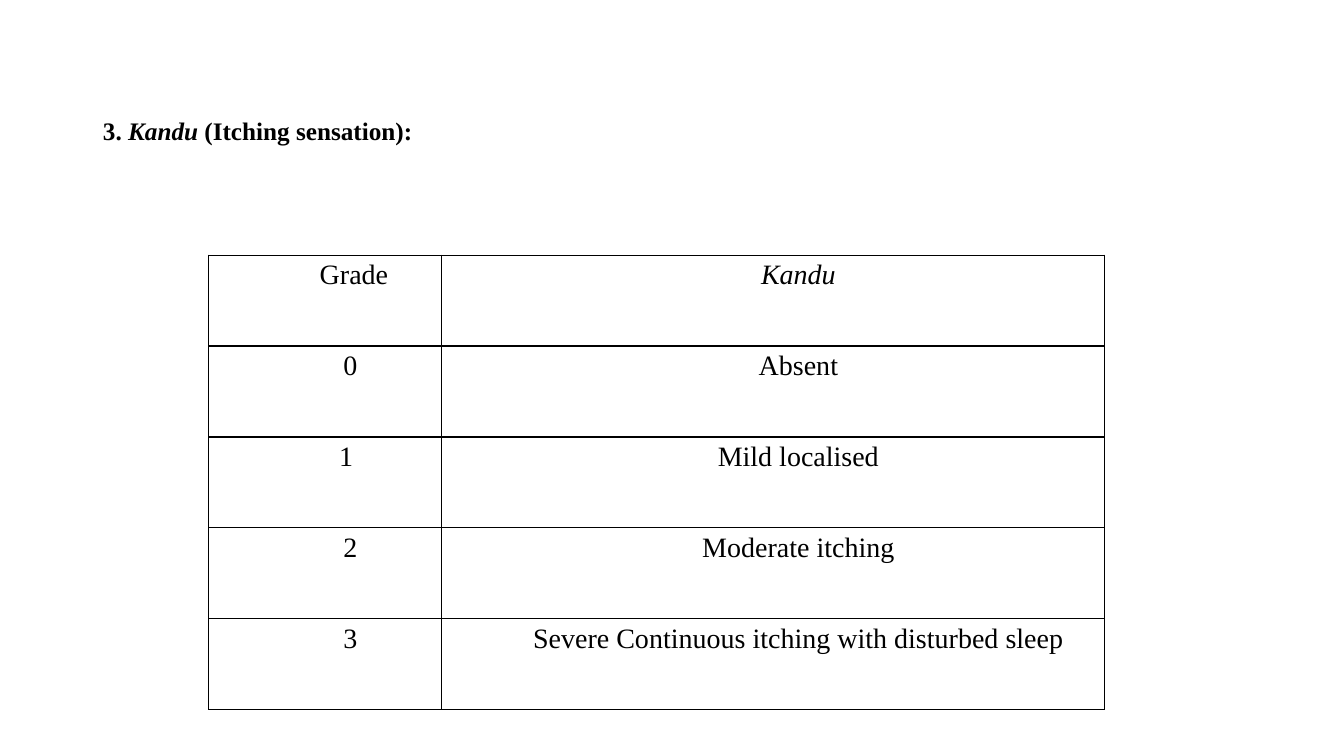
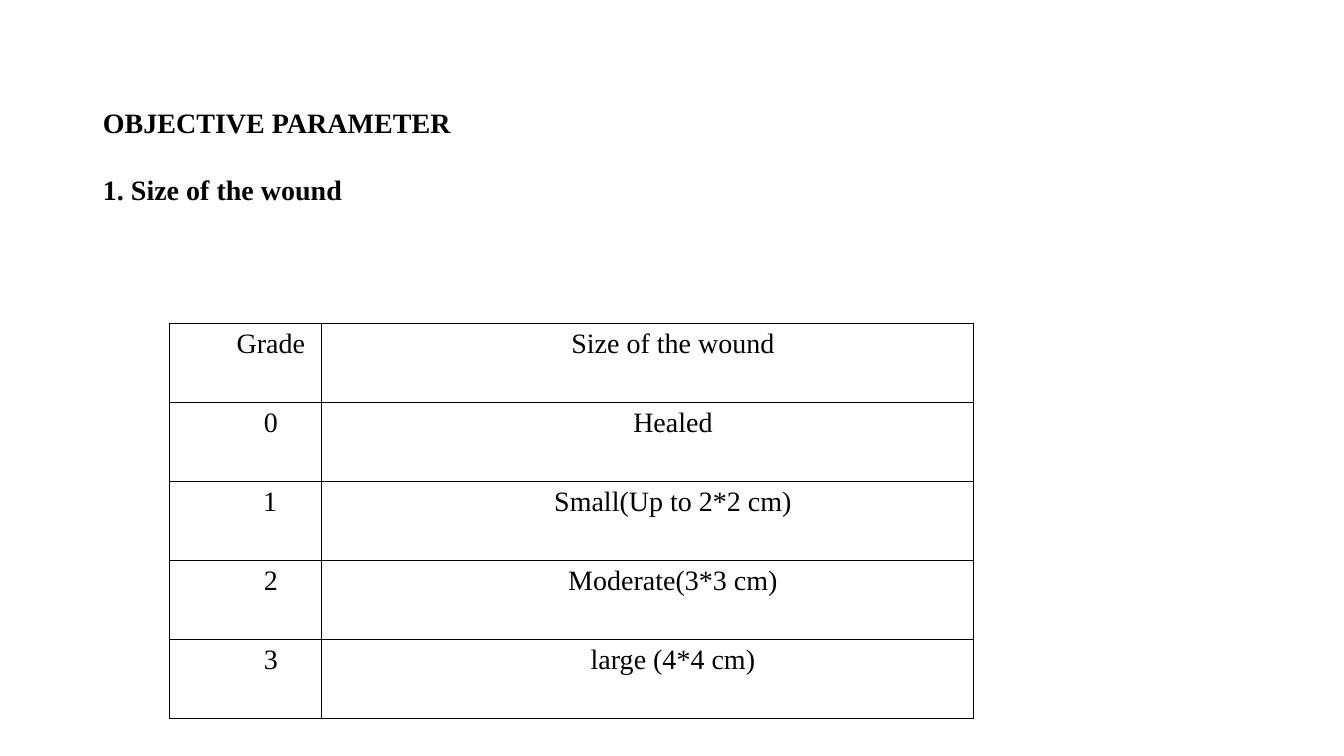
from dataclasses import dataclass

from lxml import etree
from pptx import Presentation
from pptx import util as u
from pptx.dml.color import RGBColor
from pptx.enum import text as t
from pptx.oxml import ns

BLACK = RGBColor(0x00, 0x00, 0x00)
FONT = "Times New Roman"
LEFT, WIDTH = u.Cm(2.34), u.Cm(29.21)
PAD = u.Cm(0.18)
INDENT = 1.27


@dataclass
class Run:
    text: str
    italic: bool = False


@dataclass
class Head:
    top: float
    height: float
    size: int
    lines: list[list[Run]]
    align: t.PP_ALIGN
    spacing: float
    gap: int


@dataclass
class Grid:
    left: float
    top: float
    cols: tuple[float, float]
    row: float
    cells: list[tuple[Run, Run]]
    shifts: dict[int, float]  # first-column indents that differ, by row


def write(para, runs: list[Run], *, size: int = 20, bold: bool = False,
          align=t.PP_ALIGN.CENTER, spacing: float = 1.15,
          before: int = 0, after: int = 0, indent: float = 0) -> None:
    """Fill one paragraph with formatted runs."""
    para.alignment = align
    para.line_spacing = spacing
    para.space_before, para.space_after = u.Pt(before), u.Pt(after)
    props = para._p.get_or_add_pPr()
    props.set("marL", str(u.Cm(indent)))
    props.set("indent", "0")
    for part in runs:
        run = para.add_run()
        run.text = part.text
        font = run.font
        font.name, font.size = FONT, u.Pt(size)
        font.bold, font.italic = bold, part.italic
        font.color.rgb = BLACK


def add_head(slide, head: Head) -> None:
    """Place the heading in the title placeholder."""
    box = slide.shapes.title
    box.left, box.top = LEFT, u.Cm(head.top)
    box.width, box.height = WIDTH, u.Cm(head.height)
    frame = box.text_frame
    frame.word_wrap = True
    frame.auto_size = t.MSO_AUTO_SIZE.NONE
    frame.vertical_anchor = t.MSO_ANCHOR.TOP
    for i, line in enumerate(head.lines):
        para = frame.add_paragraph() if i else frame.paragraphs[0]
        write(para, line, size=head.size, bold=True, align=head.align,
              spacing=head.spacing, before=head.gap, after=head.gap)


def add_edges(cell) -> None:
    """Draw a thin black line on all four sides of a cell."""
    props = cell._tc.get_or_add_tcPr()
    for i, side in enumerate(("lnL", "lnR", "lnT", "lnB")):
        line = etree.Element(ns.qn(f"a:{side}"), w=str(u.Pt(1)))
        fill = etree.SubElement(line, ns.qn("a:solidFill"))
        etree.SubElement(fill, ns.qn("a:srgbClr"), val=str(BLACK))
        props.insert(i, line)


def add_grid(slide, grid: Grid) -> None:
    """Draw a bordered table of grades."""
    count = len(grid.cells)
    table = slide.shapes.add_table(
        count, len(grid.cols), u.Cm(grid.left), u.Cm(grid.top),
        u.Cm(sum(grid.cols)), u.Cm(grid.row * count)).table
    table.first_row = table.horz_banding = False
    for col, width in zip(table.columns, grid.cols):
        col.width = u.Cm(width)
    for r, pair in enumerate(grid.cells):
        table.rows[r].height = u.Cm(grid.row)
        for c, run in enumerate(pair):
            cell = table.cell(r, c)
            cell.margin_left = cell.margin_right = PAD
            cell.margin_top = cell.margin_bottom = 0
            cell.fill.background()
            add_edges(cell)
            indent = INDENT if c else grid.shifts.get(r, INDENT)
            write(cell.text_frame.paragraphs[0], [run], indent=indent,
                  after=10 if c else 0)


def grade(title: Run, *names: str) -> list[tuple[Run, Run]]:
    """Pair a header and the names with grades counted from 0."""
    rows = [(Run(str(i)), Run(name)) for i, name in enumerate(names)]
    return [(Run("Grade"), title), *rows]


PAGES = [
    # Itching
    (Head(2.86, 1.5, 18,
          [[Run("3. "), Run("Kandu", True), Run(" (Itching sensation):")]],
          t.PP_ALIGN.LEFT, 0.9, 0),
     Grid(5.26, 6.43, (5.87, 16.71), 2.29,
          grade(Run("Kandu", True), "Absent", "Mild localised",
                "Moderate itching",
                "Severe Continuous itching with disturbed sleep"),
          {0: 1.45, 2: 1.06})),
    # Wound size
    (Head(2.41, 3.5, 20,
          [[Run("OBJECTIVE PARAMETER")], [Run("1. Size of the wound")]],
          t.PP_ALIGN.JUSTIFY, 1.15, 10),
     Grid(4.27, 8.15, (3.84, 16.43), 1.99,
          grade(Run("Size of the wound"), "Healed", "Small(Up to 2*2 cm)",
                "Moderate(3*3 cm)", "large (4*4 cm)"),
          {2: 1.23})),
]


def main() -> None:
    deck = Presentation()
    deck.slide_width, deck.slide_height = u.Cm(33.87), u.Cm(19.05)
    for head, grid in PAGES:
        slide = deck.slides.add_slide(deck.slide_layouts[5])
        add_head(slide, head)
        add_grid(slide, grid)
    deck.save("out.pptx")


if __name__ == "__main__":
    main()
